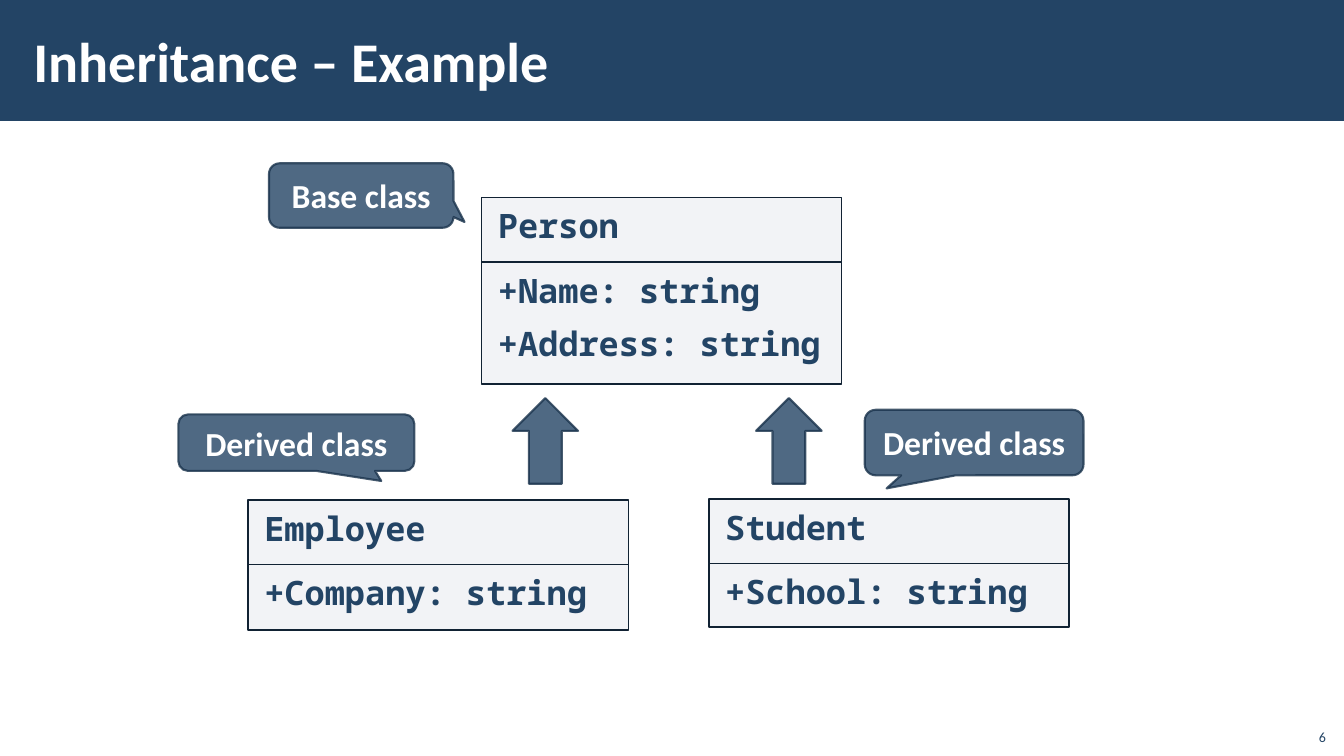
from dataclasses import dataclass
from lxml import etree
from pptx import Presentation
from pptx.dml.color import RGBColor
from pptx.enum.shapes import MSO_SHAPE
from pptx.enum.text import MSO_ANCHOR, PP_ALIGN
from pptx.oxml.ns import qn
from pptx.util import Inches, Pt

RECTANGLE = MSO_SHAPE.RECTANGLE
CALLOUT = MSO_SHAPE.ROUNDED_RECTANGULAR_CALLOUT
ARROW = MSO_SHAPE.DOWN_ARROW
TOP, MIDDLE, BOTTOM = MSO_ANCHOR.TOP, MSO_ANCHOR.MIDDLE, MSO_ANCHOR.BOTTOM
LEFT, CENTER, RIGHT = PP_ALIGN.LEFT, PP_ALIGN.CENTER, PP_ALIGN.RIGHT
WIDTH, HEIGHT = 13.33, 7.5


@dataclass(frozen=True)
class Theme:
    navy: str = "234465"
    edge: str = "1A334C"
    border: str = "112233"
    panel: str = "ADB4C3"
    white: str = "FFFFFF"
    sans: str = "Calibri"
    mono: str = "Noto Sans Mono"
    title_size: int = 40
    body_size: int = 24
    number_size: int = 10


THEME = Theme()


def place(shape, box):
    shape.left, shape.top, shape.width, shape.height = map(Inches, box)


def set_opacity(fill_parent, percent):
    color = fill_parent.find(qn("a:solidFill")).find(qn("a:srgbClr"))
    etree.SubElement(color, qn("a:alpha")).set("val", str(percent * 1000))


def add_block(slide, kind, box, fill, opacity=100, line=None, line_width=1, line_opacity=100):
    shape = slide.shapes.add_shape(kind, *map(Inches, box))
    shape.shadow.inherit = False
    shape.fill.solid()
    shape.fill.fore_color.rgb = RGBColor.from_string(fill)
    if line is None:
        shape.line.fill.background()
    else:
        shape.line.width = Pt(line_width)
        shape.line.color.rgb = RGBColor.from_string(line)
    properties = shape.element.spPr
    for fill_parent, percent in ((properties, opacity),
                                 (properties.find(qn("a:ln")), line_opacity)):
        if percent < 100:
            set_opacity(fill_parent, percent)
    return shape


def write(shape, text, size, color, font=THEME.sans, bold=True, align=LEFT,
          anchor=MIDDLE, insets=(0.1, 0.05), spacing=0, line_spacing=1.0):
    frame = shape.text_frame
    frame.text = text
    frame.word_wrap = True
    frame.vertical_anchor = anchor
    frame.margin_left = frame.margin_right = Inches(insets[0])
    frame.margin_top = frame.margin_bottom = Inches(insets[1])
    for paragraph in frame.paragraphs:
        paragraph.alignment = align
        paragraph.space_before = paragraph.space_after = Pt(spacing)
        paragraph.line_spacing = line_spacing
        for run in paragraph.runs:
            run.font.name = font
            run.font.size = Pt(size)
            run.font.bold = bold
            run.font.color.rgb = RGBColor.from_string(color)


def add_header(slide, box, text):
    left, top, width, height = box
    band = add_block(slide, RECTANGLE, box, THEME.navy)
    title = slide.shapes.title
    title.element.addprevious(band.element)
    place(title, (left + 0.21, top + 0.11, width * 0.8, height * 0.81))
    write(title, text, THEME.title_size, THEME.white, insets=(0.12, 0.04))


def add_class_box(slide, box, name, fields):
    left, top, width, height = box
    row = 0.64
    parts = ((name, top, row), ("\n".join(fields), top + row, height - row))
    for text, part_top, part_height in parts:
        part = add_block(slide, RECTANGLE, (left, part_top, width, part_height),
                         THEME.panel, 15, THEME.border)
        write(part, text, THEME.body_size, THEME.navy, THEME.mono, anchor=TOP,
              insets=(0.16, 0.12), spacing=6, line_spacing=0.9)


def add_accent(slide, kind, box):
    return add_block(slide, kind, box, THEME.navy, 80, THEME.edge, 1.5, 80)


def add_callout(slide, box, text, tip):
    callout = add_accent(slide, CALLOUT, box)
    callout.adjustments[0], callout.adjustments[1] = tip
    write(callout, text, THEME.body_size, THEME.white, align=CENTER)


def add_inheritance_arrow(slide, box):
    add_accent(slide, ARROW, box).rotation = 180


def add_page_number(slide, box, number):
    text_box = slide.shapes.add_textbox(*map(Inches, box))
    write(text_box, str(number), THEME.number_size, THEME.navy, bold=False,
          align=RIGHT, anchor=BOTTOM)


def add_diagram(slide, box):
    left, top, width, height = box

    def at(x, y, w, h):
        return left + x * width, top + y * height, w, h

    classes = (
        (at(0.335, 0.073, 3.57, 1.85), "Person", ("+Name: string", "+Address: string")),
        (at(0.077, 0.72, 3.77, 1.29), "Employee", ("+Company: string",)),
        (at(0.586, 0.718, 3.57, 1.27), "Student", ("+School: string",)),
    )
    callouts = (
        (at(0, 0.537, 2.34, 0.56), "Derived class", (0.36, 0.68)),
        (at(0.758, 0.527, 2.17, 0.65), "Derived class", (-0.4, 0.7)),
        (at(0.1, 0, 1.83, 0.64), "Base class", (0.56, 0.41)),
    )
    for class_box, name, fields in classes:
        add_class_box(slide, class_box, name, fields)
    for callout_box, text, tip in callouts:
        add_callout(slide, callout_box, text, tip)
    for x in (0.369, 0.638):
        add_inheritance_arrow(slide, at(x, 0.502, 0.65, 0.85))


def main():
    presentation = Presentation()
    presentation.slide_width, presentation.slide_height = Inches(WIDTH), Inches(HEIGHT)
    slide = presentation.slides.add_slide(presentation.slide_layouts[5])
    add_header(slide, (0, 0, WIDTH, HEIGHT * 0.16), "Inheritance – Example")
    add_diagram(slide, (1.77, 1.62, 8.98, 4.64))
    add_page_number(slide, (12.85, 7.12, 0.4, 0.32), 6)
    presentation.save("out.pptx")


if __name__ == "__main__":
    main()
